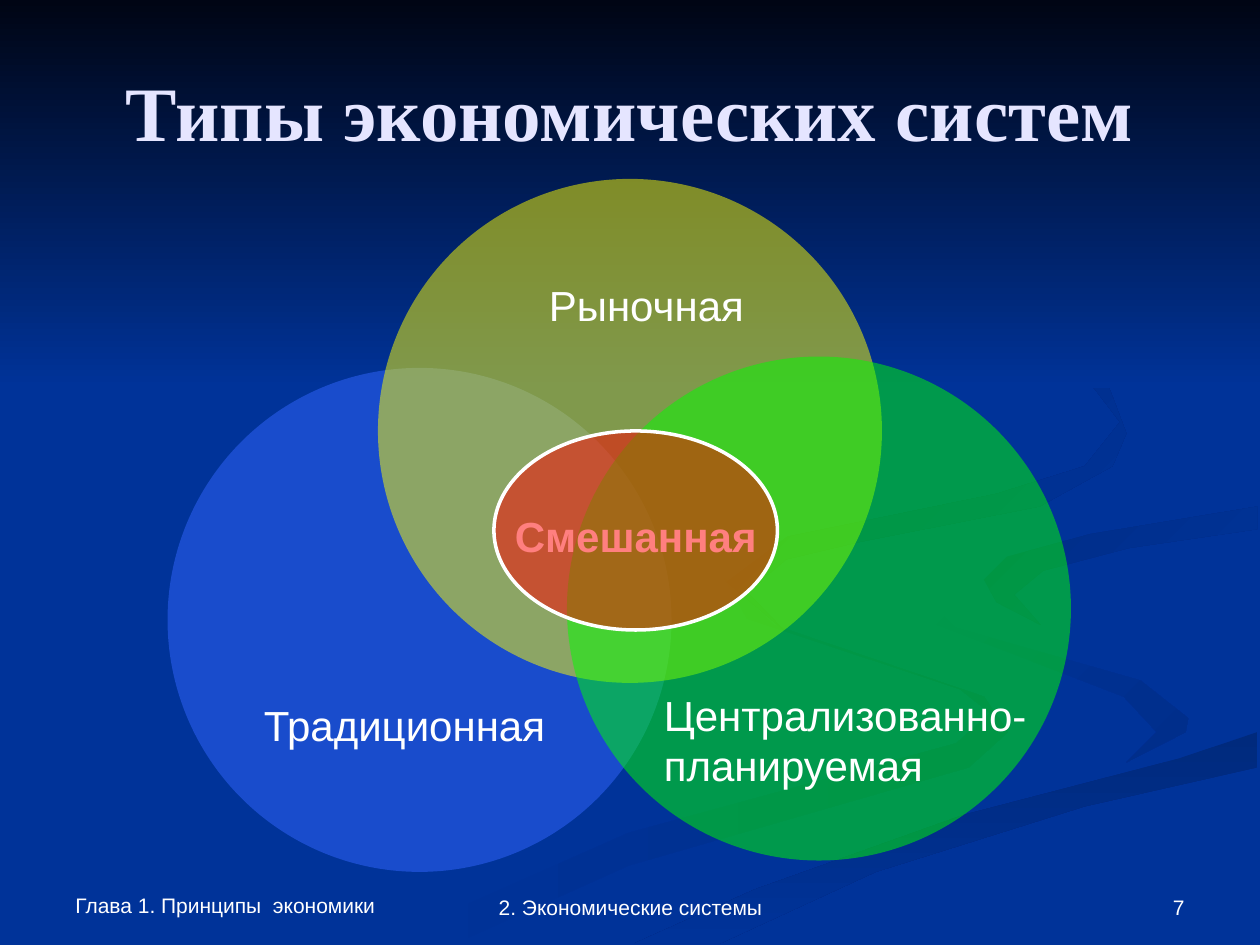
"""Build a slide of economic system types as overlapping circles."""
from dataclasses import dataclass
from typing import Optional

import lxml.etree
import pptx
import pptx.dml.color
import pptx.enum.shapes
import pptx.enum.text
import pptx.oxml.ns
import pptx.util

RGB = pptx.dml.color.RGBColor
ALIGN = pptx.enum.text.PP_ALIGN
ANCHOR = pptx.enum.text.MSO_ANCHOR

SCALE = 9144
WIDE, HIGH = 1000, 750
RING = 400
NAVY = RGB(0x00, 0x33, 0x99)
NIGHT = RGB(0x00, 0x05, 0x14)
WHITE = RGB(0xFF, 0xFF, 0xFF)
LILAC = RGB(0xE5, 0xE5, 0xFF)
BLUE = RGB(0x33, 0x66, 0xFF)
YELLOW = RGB(0xFF, 0xFF, 0x00)
GREEN = RGB(0x00, 0xFF, 0x00)
RED = RGB(0xFF, 0x00, 0x00)
DUSK = RGB(0x00, 0x2E, 0x8B)
DEEP = RGB(0x00, 0x2A, 0x7D)
SHADE = RGB(0x00, 0x2D, 0x86)
DARK = RGB(0x00, 0x2B, 0x82)


@dataclass
class Swirl:
    first: RGB
    last: RGB
    angle: int
    points: list[tuple[int, int]]


@dataclass
class Oval:
    left: int
    top: int
    color: RGB
    width: int = RING
    height: int = RING
    line: Optional[RGB] = None


@dataclass
class Label:
    text: str
    left: int
    top: int
    width: int
    height: int
    size: int = 24
    align: ALIGN = ALIGN.CENTER
    anchor: ANCHOR = ANCHOR.TOP
    bold: bool = False
    font: str = "Arial"
    color: RGB = WHITE


SWIRLS = [
    Swirl(NAVY, DUSK, 0, [
        (781, 553), (614, 496), (575, 459), (593, 491), (762, 547), (786, 566),
        (759, 590), (499, 661), (300, 749), (361, 749), (499, 687), (769, 609), (800, 581)]),
    Swirl(NAVY, DUSK, 45, [
        (943, 570), (905, 540), (758, 498), (724, 464), (739, 494), (892, 553),
        (918, 581), (894, 605), (941, 581)]),
    Swirl(DEEP, NAVY, 90, [
        (503, 749), (571, 749), (695, 692), (861, 640), (998, 609), (998, 581),
        (936, 602), (764, 647), (599, 706)]),
    Swirl(SHADE, NAVY, 45, [
        (781, 460), (791, 478), (826, 496), (805, 472), (828, 453), (896, 435),
        (998, 420), (998, 402), (865, 424), (799, 442)]),
    Swirl(DARK, NAVY, 45, [
        (683, 430), (825, 402), (883, 370), (894, 344), (880, 307), (821, 261),
        (762, 233), (846, 279), (889, 335), (861, 370), (791, 392), (625, 426),
        (577, 462), (622, 500), (593, 470), (624, 444)]),
    Swirl(NIGHT, NAVY, 90, [(0, 0), (0, 308), (WIDE, 308), (WIDE, 0)]),
]

FOOT = dict(size=12, anchor=ANCHOR.BOTTOM)
HEADS = [
    Label("Глава 1. Принципы  экономики", 50, 708, 292, 25, align=ALIGN.LEFT, **FOOT),
    Label("7", 717, 708, 233, 27, align=ALIGN.RIGHT, **FOOT),
    Label("2. Экономические системы", 342, 708, 317, 27, **FOOT),
    Label("Типы экономических систем", 50, 25, 900, 125, size=44, anchor=ANCHOR.MIDDLE,
          bold=True, font="Times New Roman", color=LILAC),
]
RINGS = [Oval(133, 292, BLUE), Oval(300, 142, YELLOW), Oval(450, 283, GREEN)]
NAMES = [
    Label("Традиционная", 192, 550, 258, 50),
    Label("Рыночная", 392, 217, 242, 50),
    Label("Централизованно-планируемая", 517, 542, 325, 90, align=ALIGN.LEFT),
    Label("Смешанная", 392, 400, 225, 50, bold=True),
]
CORE = Oval(392, 342, RED, 225, 158, WHITE)


def emu(*spans: int) -> list[int]:
    return [span * SCALE for span in spans]


def draw_swirl(shapes, swirl: Swirl) -> None:
    pen = shapes.build_freeform(*swirl.points[0], scale=SCALE)
    pen.add_line_segments(swirl.points[1:], close=True)
    shape = pen.convert_to_shape()
    shape.shadow.inherit = False
    shape.line.fill.background()
    shape.fill.gradient()
    shape.fill.gradient_angle = -swirl.angle % 360
    for stop, color in zip(shape.fill.gradient_stops, (swirl.first, swirl.last)):
        stop.color.rgb = color


def draw_oval(shapes, oval: Oval) -> None:
    kind = pptx.enum.shapes.MSO_SHAPE.OVAL
    shape = shapes.add_shape(kind, *emu(oval.left, oval.top, oval.width, oval.height))
    shape.shadow.inherit = False
    shape.fill.solid()
    shape.fill.fore_color.rgb = oval.color
    tag = shape._element.spPr.find(".//" + pptx.oxml.ns.qn("a:srgbClr"))
    lxml.etree.SubElement(tag, pptx.oxml.ns.qn("a:alpha"), val="50000")
    if oval.line is None:
        shape.line.fill.background()
    else:
        shape.line.color.rgb = oval.line
        shape.line.width = pptx.util.Pt(2)


def draw_label(shapes, label: Label) -> None:
    box = shapes.add_textbox(*emu(label.left, label.top, label.width, label.height))
    frame = box.text_frame
    frame.word_wrap = True
    frame.vertical_anchor = label.anchor
    para = frame.paragraphs[0]
    para.alignment = label.align
    run = para.add_run()
    run.text = label.text
    run.font.name = label.font
    run.font.size = pptx.util.Pt(label.size)
    run.font.bold = label.bold
    run.font.color.rgb = label.color


def main() -> None:
    deck = pptx.Presentation()
    deck.slide_width, deck.slide_height = emu(WIDE, HIGH)
    slide = deck.slides.add_slide(deck.slide_layouts[6])
    slide.background.fill.solid()
    slide.background.fill.fore_color.rgb = NAVY
    for swirl in SWIRLS:
        draw_swirl(slide.shapes, swirl)
    for label in HEADS:
        draw_label(slide.shapes, label)
    for ring in RINGS:
        draw_oval(slide.shapes, ring)
    for label in NAMES:
        draw_label(slide.shapes, label)
    draw_oval(slide.shapes, CORE)
    deck.save("out.pptx")


if __name__ == "__main__":
    main()
